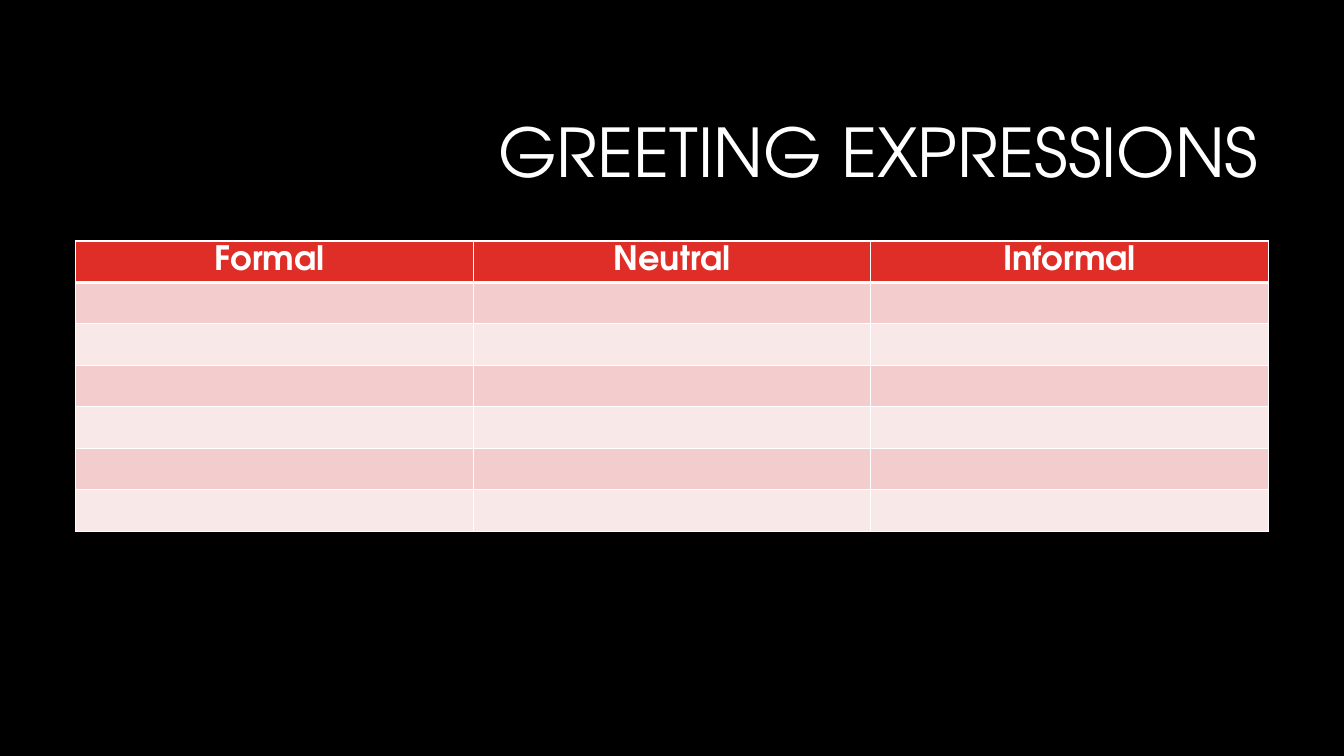
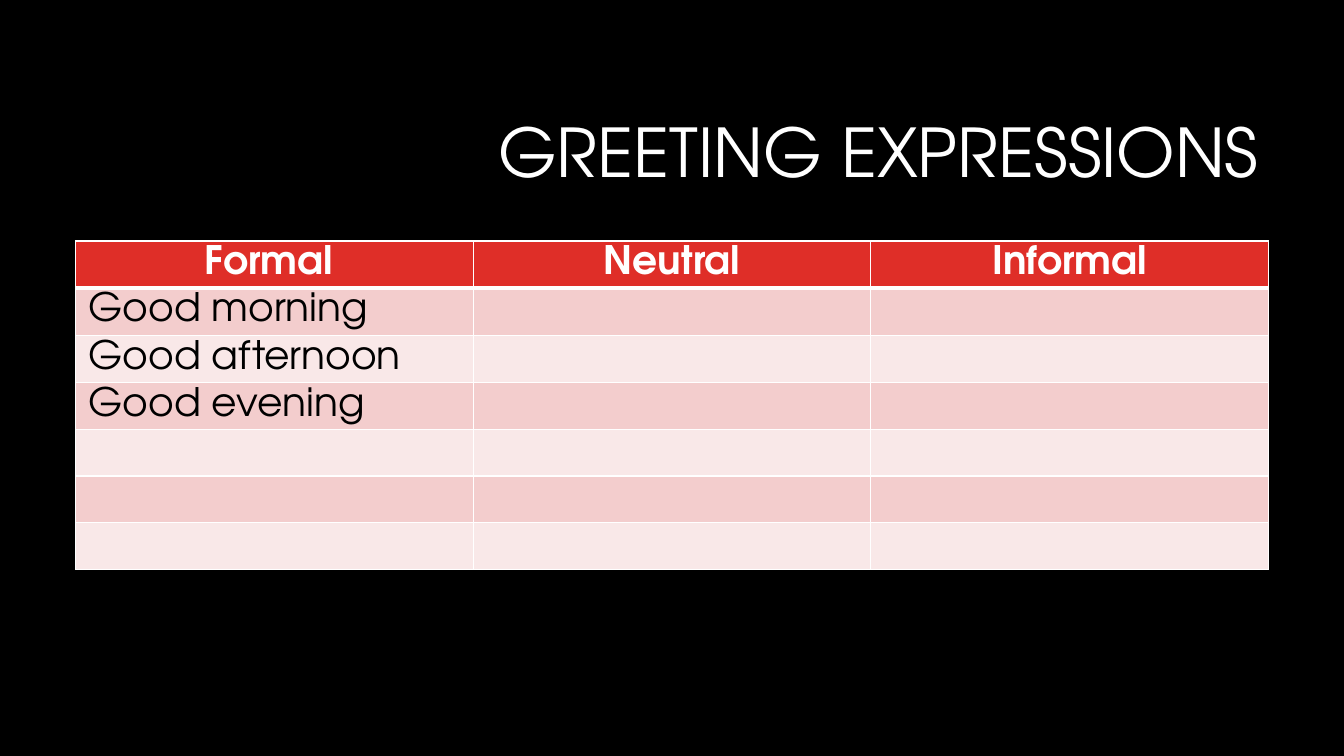
"""Build two greeting expression slides, each with a titled three-column table."""
from dataclasses import dataclass

from lxml import etree
from pptx import Presentation
from pptx.dml.color import RGBColor
from pptx.enum.text import MSO_ANCHOR, PP_ALIGN
from pptx.oxml.ns import qn
from pptx.util import Inches, Pt

MIDDLE = MSO_ANCHOR.MIDDLE
LEFT, CENTER, RIGHT = PP_ALIGN.LEFT, PP_ALIGN.CENTER, PP_ALIGN.RIGHT

TITLE = "GREETING EXPRESSIONS"
HEADERS = ("Formal ", "Neutral", "Informal")
BODY_ROWS = 6
SLIDES = (
    {"size": 24, "height": 2.88, "formal": ()},
    {"size": 28, "height": 3.24,
     "formal": ("Good morning", "Good afternoon", "Good evening")},
)


@dataclass(frozen=True)
class Theme:
    font: str = "TeX Gyre Adventor"
    title_size: int = 48
    background: str = "000000"
    light: str = "FFFFFF"
    dark: str = "000000"
    header: str = "DF2E28"
    bands: tuple = ("F3CDCD", "F9E8E8")
    thin: int = 1
    thick: int = 3


THEME = Theme()
WIDTH, HEIGHT = 13.33, 7.5
TITLE_BOX = (3.16, 0.84, 9.42, 1.41)
MARGIN, TABLE_TOP = 0.75, 2.39
TABLE_WIDTH = WIDTH - 2 * MARGIN
INSET_X, INSET_Y = 0.13, 0.05


def style_paragraph(para, text, size, color, align, bold=False):
    para.text = text
    para.alignment = align
    font = para.font
    font.name, font.size, font.bold = THEME.font, Pt(size), bold
    font.color.rgb = RGBColor.from_string(color)


def add_title(slide):
    box = slide.shapes.add_textbox(*map(Inches, TITLE_BOX))
    frame = box.text_frame
    frame.word_wrap = True
    frame.vertical_anchor = MIDDLE
    para = frame.paragraphs[0]
    style_paragraph(para, TITLE, THEME.title_size, THEME.light, RIGHT)
    para.line_spacing = 0.9


def set_borders(cell, top, bottom):
    properties = cell._tc.get_or_add_tcPr()
    widths = {"lnL": THEME.thin, "lnR": THEME.thin, "lnT": top, "lnB": bottom}
    for side, width in widths.items():
        line = etree.SubElement(properties, qn(f"a:{side}"), w=str(Pt(width)))
        fill = etree.SubElement(line, qn("a:solidFill"))
        etree.SubElement(fill, qn("a:srgbClr"), val=THEME.light)


def style_cell(cell, row, text, size):
    is_header = row == 0
    cell.margin_left = cell.margin_right = Inches(INSET_X)
    cell.margin_top = Inches(INSET_Y)
    cell.margin_bottom = Inches(-INSET_Y)
    set_borders(cell, THEME.thick if row == 1 else THEME.thin,
                THEME.thick if is_header else THEME.thin)
    fill = THEME.header if is_header else THEME.bands[(row - 1) % 2]
    cell.fill.solid()
    cell.fill.fore_color.rgb = RGBColor.from_string(fill)
    if text:
        style_paragraph(cell.text_frame.paragraphs[0], text, size,
                        THEME.light if is_header else THEME.dark,
                        CENTER if is_header else LEFT, is_header)


def add_greeting_table(slide, size, height, formal):
    rows, columns = BODY_ROWS + 1, len(HEADERS)
    table = slide.shapes.add_table(
        rows, columns, Inches(MARGIN), Inches(TABLE_TOP),
        Inches(TABLE_WIDTH), Inches(height)).table
    texts = {(0, column): text for column, text in enumerate(HEADERS)}
    texts.update({(row, 0): text for row, text in enumerate(formal, 1)})
    for row in range(rows):
        for column in range(columns):
            style_cell(table.cell(row, column), row, texts.get((row, column)), size)


def main():
    deck = Presentation()
    deck.slide_width, deck.slide_height = Inches(WIDTH), Inches(HEIGHT)
    background = deck.slide_master.background.fill
    background.solid()
    background.fore_color.rgb = RGBColor.from_string(THEME.background)
    for content in SLIDES:
        slide = deck.slides.add_slide(deck.slide_layouts[6])
        add_title(slide)
        add_greeting_table(slide, **content)
    deck.save("out.pptx")


if __name__ == "__main__":
    main()
